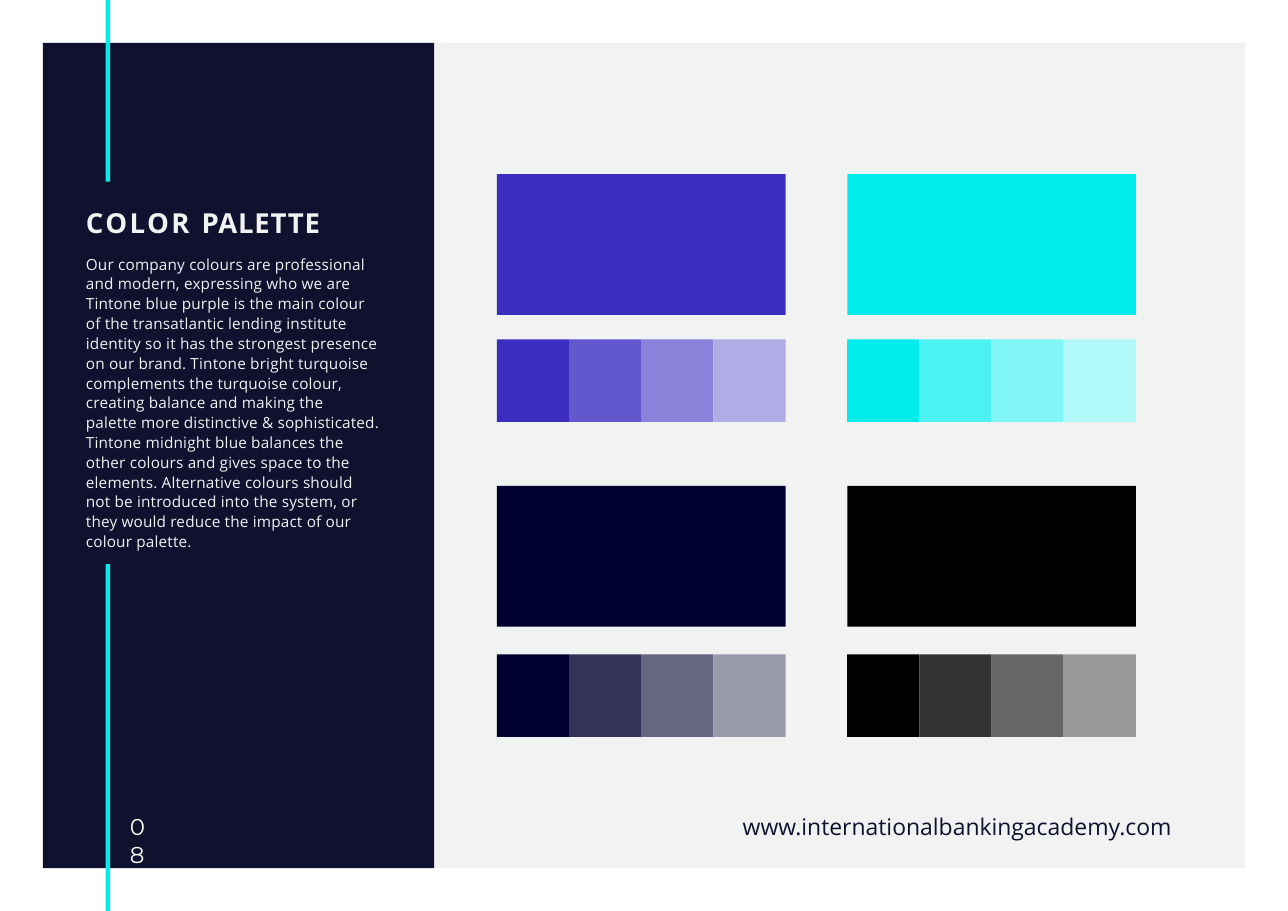
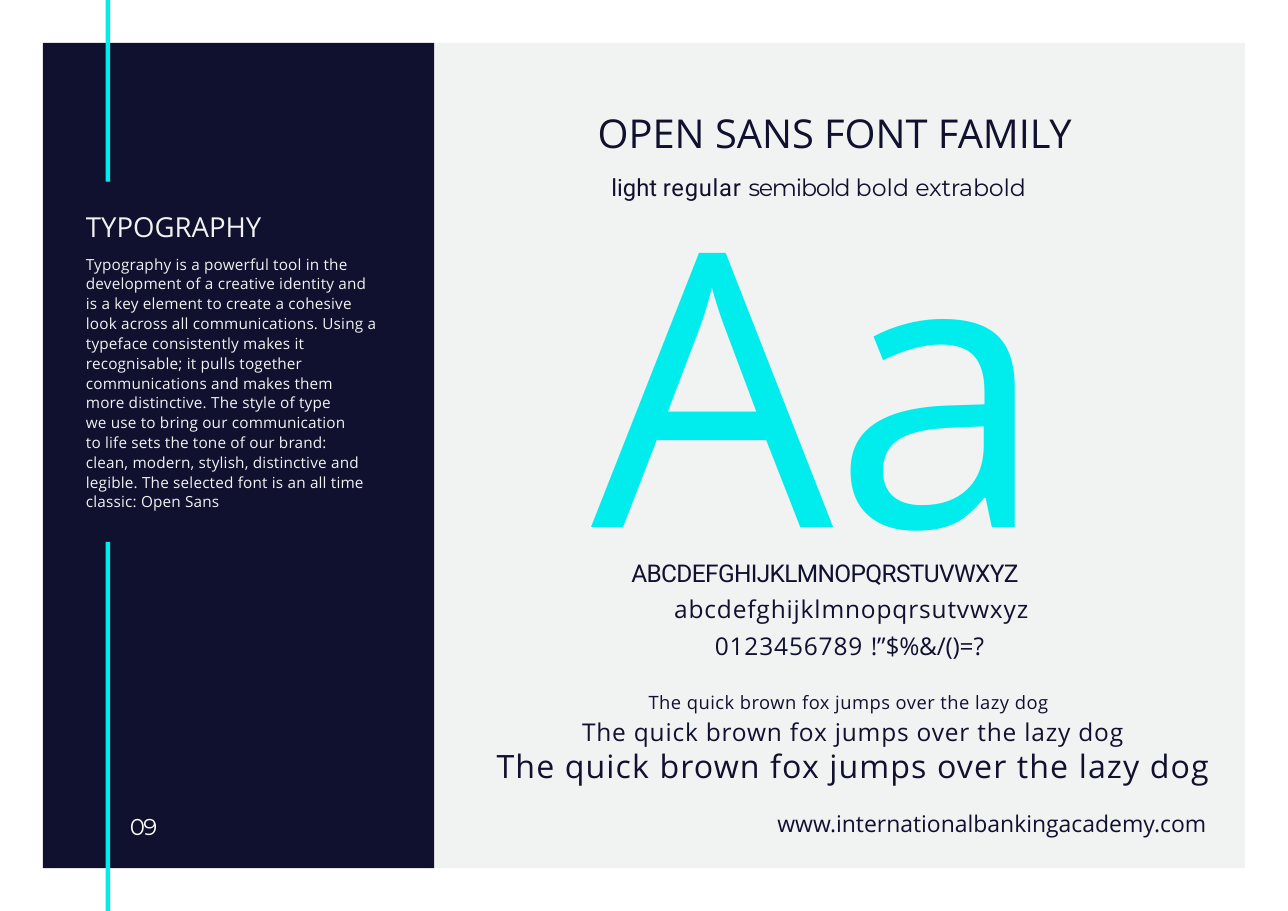
import pptx
import pptx.dml.color
import pptx.enum.shapes
import pptx.enum.text
import pptx.oxml
import pptx.oxml.ns
import pptx.util
from dataclasses import dataclass

Inches = pptx.util.Inches
Pt = pptx.util.Pt
LEFT = pptx.enum.text.PP_ALIGN.LEFT
CENTER = pptx.enum.text.PP_ALIGN.CENTER


@dataclass(frozen=True)
class Theme:
    midnight: str = "10112E"
    mist: str = "F1F2F2"
    white: str = "FFFFFF"
    turquoise: str = "00ECED"
    purple: str = "3C2DC1"
    navy: str = "000030"
    black: str = "000000"
    font: str = "Open Sans"
    light_font: str = "Roboto"
    number_font: str = "Montserrat"
    body_size: float = 10
    small_size: float = 12
    footer_size: float = 15
    weights_size: float = 15.5
    sample_size: float = 16
    heading_size: float = 18
    large_size: float = 21
    family_size: float = 26
    glyph_size: float = 250
    body_tracking: float = 0.15
    number_tracking: float = -1.2


THEME = Theme()
WIDTH, HEIGHT = 11.69, 8.27
MARGIN, SIDEBAR_RIGHT = 0.39, 3.94
BAR_LEFT, BAR_WIDTH, BAR_TOP_END = 0.96, 0.04, 1.65
TEXT_LEFT, TEXT_WIDTH = 0.77, 2.76

WEBSITE = "www.internationalbankingacademy.com"
PANGRAM = "The quick brown fox jumps over the lazy dog"

PALETTE_TITLE = [("COLOR ", 1.6), ("PALETTE", 0.5)]
PALETTE_TEXT = [
    [
        "Our company colours are professional",
        "and modern, expressing who we are",
        "Tintone blue purple is the main colour",
        "of the transatlantic lending institute",
        "identity so it has the strongest presence",
        "on our brand. Tintone bright turquoise",
        "complements the turquoise colour,",
        "creating balance and making the",
    ],
    [
        "palette more distinctive & sophisticated.",
        "Tintone midnight blue balances the",
        "other colours and gives space to the",
        "elements. Alternative colours should",
        "not be introduced into the system, or",
        "they would reduce the impact of our",
        "colour palette.",
    ],
]
TYPOGRAPHY_TEXT = [
    [
        "Typography is a powerful tool in the",
        "development of a creative identity and",
        "is a key element to create a cohesive",
        "look across all communications. Using a",
        "typeface consistently makes it",
        "recognisable; it pulls together",
        "communications and makes them",
        "more distinctive. The style of type",
    ],
    [
        "we use to bring our communication",
        "to life sets the tone of our brand:",
        "clean, modern, stylish, distinctive and",
        "legible. The selected font is an all time",
        "classic: Open Sans",
    ],
]
# Rows of swatches: colour and the strength of each of its tints
SWATCHES = [
    [(THEME.purple, (1, 0.8, 0.6, 0.4)), (THEME.turquoise, (1, 0.7, 0.5, 0.3))],
    [(THEME.navy, (1, 0.8, 0.6, 0.4)), (THEME.black, (1, 0.8, 0.6, 0.4))],
]
SWATCH_LEFT, SWATCH_WIDTH, SWATCH_HEIGHT, COLUMN_STEP = 4.51, 2.62, 1.28, 3.18
TINT_HEIGHT = 0.75
SWATCH_ROWS = [(1.58, 3.08), (4.41, 5.94)]  # tops of swatch and tint strip

WEIGHTS = [
    ("light ", 0, THEME.light_font),
    ("regular ", 0.5, THEME.light_font),
    ("semibold ", -0.8, THEME.number_font),
    ("bold ", 0, THEME.number_font),
    ("extrabold", -0.1, THEME.number_font),
]


def rgb(value):
    return pptx.dml.color.RGBColor.from_string(value)


def tint(colour, strength):
    """Mix a colour with white."""
    channels = [int(colour[i:i + 2], 16) for i in (0, 2, 4)]
    return "".join(f"{round(255 - (255 - c) * strength):02X}" for c in channels)


def add_block(slide, left, top, width, height, colour):
    block = slide.shapes.add_shape(
        pptx.enum.shapes.MSO_SHAPE.RECTANGLE,
        Inches(left), Inches(top), Inches(width), Inches(height))
    block.shadow.inherit = False
    block.fill.solid()
    block.fill.fore_color.rgb = rgb(colour)
    block.line.fill.background()


def place(holder, left, top, width, height):
    """Position a text holder and return its frame, ready for writing."""
    holder.left, holder.top = Inches(left), Inches(top)
    holder.width, holder.height = Inches(width), Inches(height)
    frame = holder.text_frame
    frame.margin_left = frame.margin_right = frame.margin_bottom = 0
    frame.margin_top = Inches(0.02)
    frame.word_wrap = True
    frame.auto_size = pptx.enum.text.MSO_AUTO_SIZE.NONE
    frame.vertical_anchor = pptx.enum.text.MSO_ANCHOR.TOP
    return frame


def add_label(slide, left, top, width, height):
    return place(slide.shapes.add_textbox(0, 0, 0, 0), left, top, width, height)


def write(frame, lines, size, colour, font=THEME.font, align=LEFT, bold=False,
          before=0, spacing=1.0, indent=0.01):
    """Add a paragraph; each line is a list of (text, tracking[, font]) runs."""
    first = frame.paragraphs[0]
    paragraph = frame.add_paragraph() if first.runs else first
    properties = paragraph._p.get_or_add_pPr()
    properties.set("marL", str(Inches(indent)))
    properties.set("indent", "0")
    properties.append(pptx.oxml.parse_xml(
        f"<a:buNone {pptx.oxml.ns.nsdecls('a')}/>"))
    paragraph.alignment = align
    paragraph.space_before = Pt(before)
    paragraph.line_spacing = spacing
    paragraph.font.name = font
    paragraph.font.size = Pt(size)
    paragraph.font.bold = bold
    paragraph.font.color.rgb = rgb(colour)
    for number, line in enumerate(lines):
        if number:
            paragraph.add_line_break()
        for text, tracking, *own_font in line:
            run = paragraph.add_run()
            run.text = text
            if tracking:
                run._r.get_or_add_rPr().set("spc", str(round(tracking * 100)))
            if own_font:
                run.font.name = own_font[0]


def write_body(frame, paragraphs, first_gap=0):
    for number, lines in enumerate(paragraphs):
        write(frame, [[(line, THEME.body_tracking)] for line in lines],
              THEME.body_size, THEME.mist, spacing=1.08,
              before=0 if number else first_gap)


def add_page(deck, number, number_width, bar_restart, website_box):
    """Add a slide with the shared panels, bars, page number and footer."""
    slide = deck.slides.add_slide(deck.slide_layouts[1])
    panel_height = HEIGHT - 2 * MARGIN
    add_block(slide, SIDEBAR_RIGHT, MARGIN, WIDTH - MARGIN - SIDEBAR_RIGHT,
              panel_height, THEME.mist)
    add_block(slide, MARGIN, MARGIN, SIDEBAR_RIGHT - MARGIN, panel_height,
              THEME.midnight)
    for start, end in [(0, BAR_TOP_END), (bar_restart, HEIGHT)]:
        add_block(slide, BAR_LEFT, start, BAR_WIDTH, end - start, THEME.turquoise)
    # Bring the title and body in front of the panels
    for holder in list(slide.placeholders):
        slide.shapes._spTree.append(holder._element)
    write(add_label(slide, 1.17, 7.36, number_width, 0.5),
          [[(number, THEME.number_tracking)]], THEME.footer_size, THEME.white,
          font=THEME.number_font)
    write(add_label(slide, *website_box), [[(WEBSITE, 0)]],
          THEME.footer_size, THEME.midnight, align=CENTER)
    return slide


def build_palette(deck):
    slide = add_page(deck, "08", 0.2, 5.12, (6.6, 7.36, 4.17, 0.27))
    write(place(slide.shapes.title, TEXT_LEFT, 1.85, 2.6, 0.33),
          [PALETTE_TITLE], THEME.heading_size, THEME.mist, bold=True)
    write_body(place(slide.placeholders[1], TEXT_LEFT, 2.28, TEXT_WIDTH, 2.73),
               PALETTE_TEXT)
    for (swatch_top, tint_top), row in zip(SWATCH_ROWS, SWATCHES):
        for column, (colour, strengths) in enumerate(row):
            left = SWATCH_LEFT + column * COLUMN_STEP
            add_block(slide, left, swatch_top, SWATCH_WIDTH, SWATCH_HEIGHT, colour)
            tint_width = SWATCH_WIDTH / len(strengths)
            for step, strength in enumerate(strengths):
                add_block(slide, left + step * tint_width, tint_top, tint_width,
                          TINT_HEIGHT, tint(colour, strength))


def build_typography(deck):
    slide = add_page(deck, "09", 0.4, 4.92, (6.78, 7.33, 4.44, 0.27))
    sidebar = place(slide.placeholders[1], TEXT_LEFT, 1.89, TEXT_WIDTH, 2.77)
    write(sidebar, [[("TYPOGRAPHY", 0)]], THEME.heading_size, THEME.mist)
    write_body(sidebar, TYPOGRAPHY_TEXT, first_gap=6.5)

    write(place(slide.shapes.title, 5.26, 0.97, 4.63, 0.47),
          [[("OPEN SANS FONT FAMILY", 0)]], THEME.family_size, THEME.midnight,
          align=CENTER)
    write(add_label(slide, 5.54, 1.55, 4.15, 0.29), [WEIGHTS],
          THEME.weights_size, THEME.midnight)
    write(add_label(slide, 5.72, 5.05, 3.81, 0.29),
          [[("ABCDEFGHIJKLMNOPQRSTUVWXYZ", -0.4)]], THEME.sample_size,
          THEME.midnight, font=THEME.light_font)
    write(add_label(slide, 6.02, 5.37, 3.41, 0.28),
          [[("abcdefghijklmnopqrsutvwxyz", 0.6)]], THEME.sample_size,
          THEME.midnight, align=CENTER)
    write(add_label(slide, 5.36, 1.3, 4.91, 4.22), [[("Aa", 0)]],
          THEME.glyph_size, THEME.turquoise)

    samples = add_label(slide, 4.42, 5.71, 6.57, 1.43)
    write(samples, [[("0123456789 ", 0.6), ("!”$%&/()=?", -0.1)]],
          THEME.sample_size, THEME.midnight, align=CENTER)
    for size, tracking, before, spacing, indent in [
        (THEME.small_size, 0.3, 20, 1.0, 0),
        (THEME.sample_size, 0.56, 2.5, Pt(19.1), 0.08),
        (THEME.large_size, 0.75, 0, Pt(25.1), 0.08),
    ]:
        write(samples, [[(PANGRAM, tracking)]], size, THEME.midnight,
              align=CENTER, before=before, spacing=spacing, indent=indent)


def main():
    deck = pptx.Presentation()
    deck.slide_width, deck.slide_height = Inches(WIDTH), Inches(HEIGHT)
    build_palette(deck)
    build_typography(deck)
    deck.save("out.pptx")


if __name__ == "__main__":
    main()
